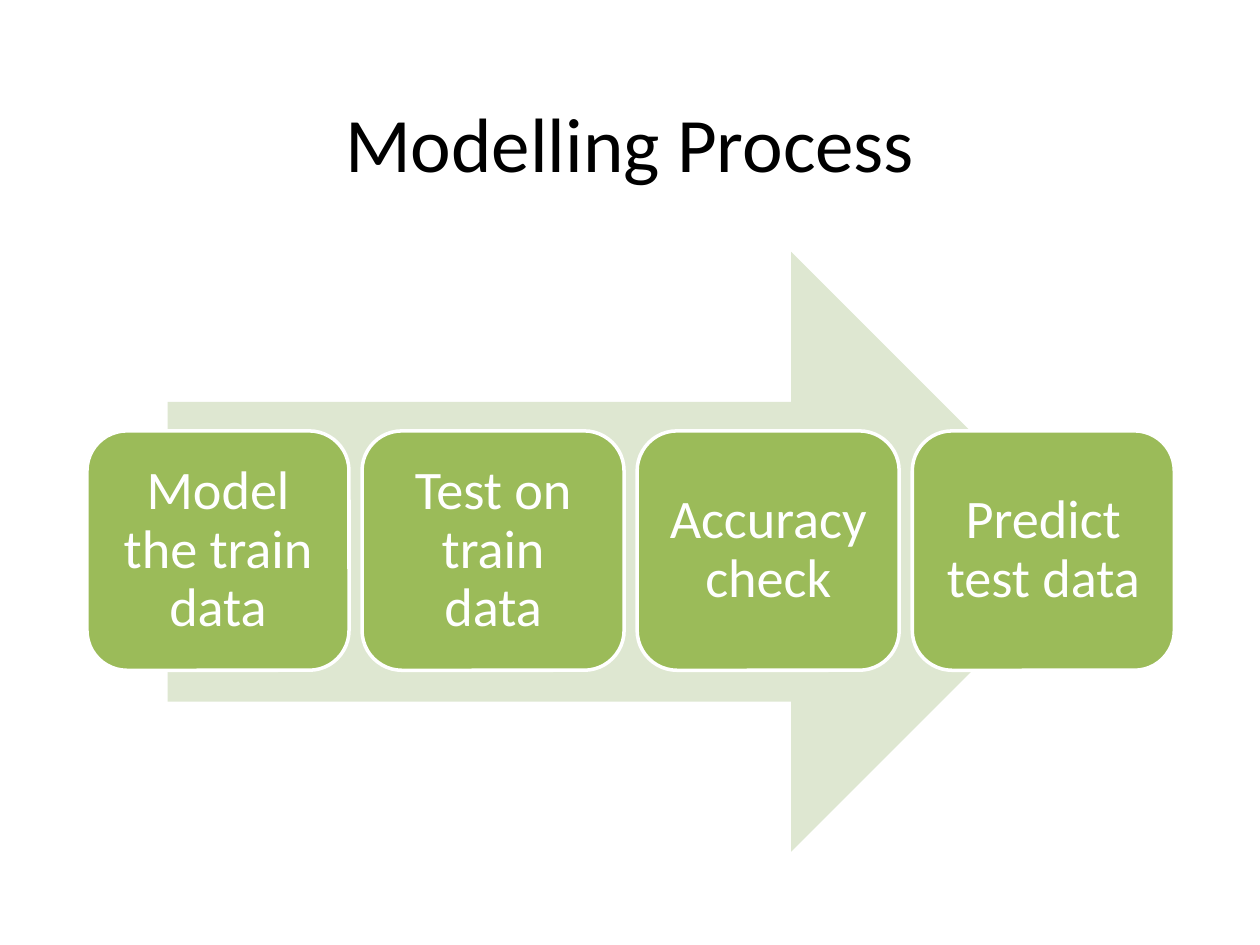
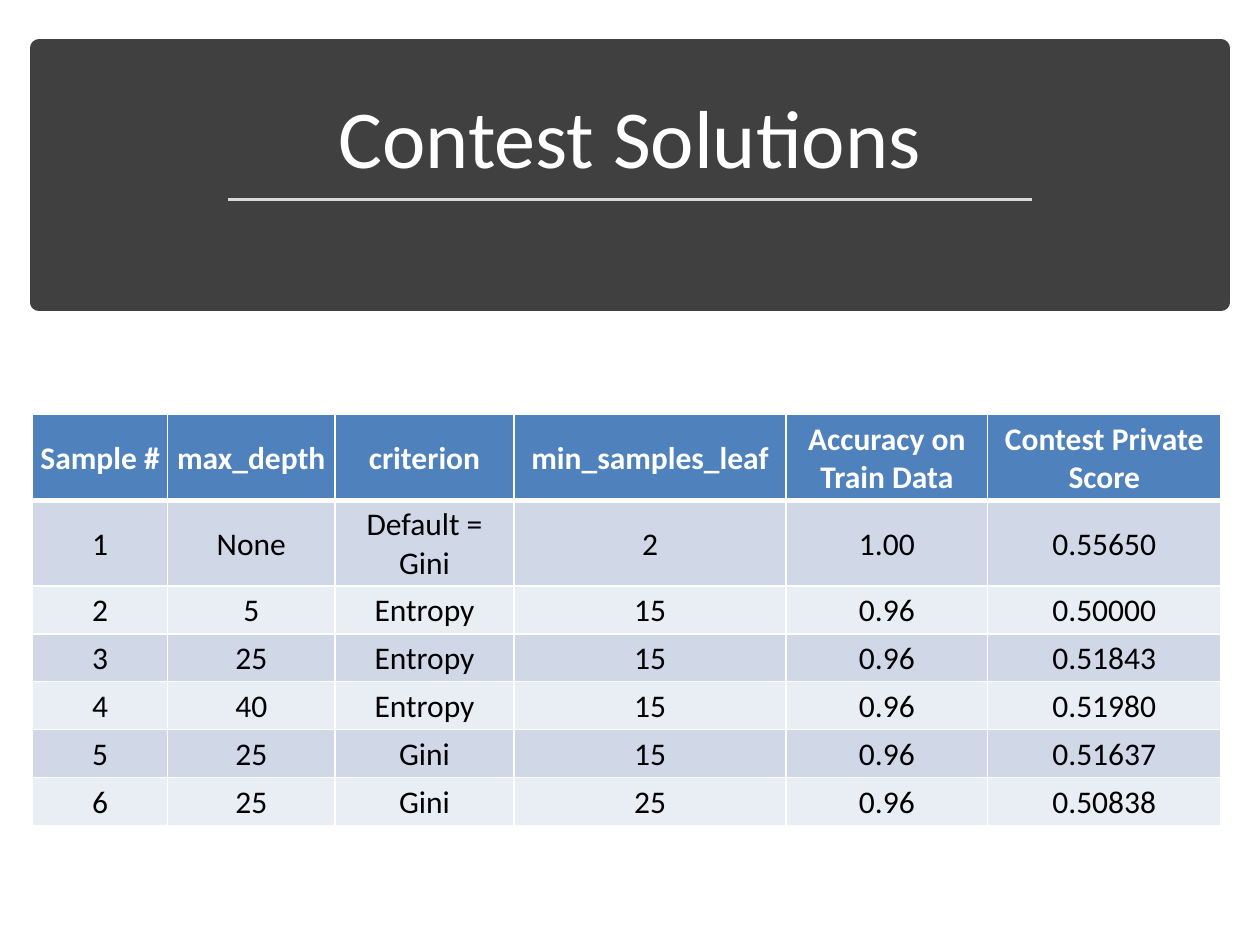
from lxml.etree import SubElement
from pptx import Presentation
from pptx.dml.color import RGBColor
from pptx.enum.shapes import MSO_CONNECTOR as Connector, MSO_SHAPE as Shape
from pptx.enum.text import MSO_ANCHOR as Anchor, PP_ALIGN as Align
from pptx.oxml import parse_xml
from pptx.oxml.ns import nsdecls, qn
from pptx.util import Inches, Pt

FONT = "Calibri"
COLORS = {
    "black": "000000",
    "white": "FFFFFF",
    "arrow": "DEE7D1",
    "step": "9BBB59",
    "band": "404040",
    "rule": "D9D9D9",
    "header": "4F81BD",
    "odd_row": "D0D8E8",
    "even_row": "E9EDF4",
}

STEPS = ["Model the train data", "Test on train data", "Accuracy check", "Predict test data"]

SCORES = [
    ["Sample #", "max_depth", "criterion", "min_samples_leaf",
     "Accuracy on Train Data", "Contest Private Score"],
    ["1", "None", "Default = Gini", "2", "1.00", "0.55650"],
    ["2", "5", "Entropy", "15", "0.96", "0.50000"],
    ["3", "25", "Entropy", "15", "0.96", "0.51843"],
    ["4", "40", "Entropy", "15", "0.96", "0.51980"],
    ["5", "25", "Gini", "15", "0.96", "0.51637"],
    ["6", "25", "Gini", "25", "0.96", "0.50838"],
]


def color(name):
    return RGBColor.from_string(COLORS[name])


def inches(values):
    return [Inches(value) for value in values]


class DeckBuilder:
    def __init__(self):
        self.deck = Presentation()
        self.deck.slide_width = Inches(10)
        self.deck.slide_height = Inches(7.5)
        self.page = None

    def set_text(self, frame, text, size, ink, bold=False, spacing=None):
        frame.text = text
        frame.word_wrap = True
        for para in frame.paragraphs:
            para.alignment = Align.CENTER
            para.line_spacing = spacing
            for span in para.runs:
                span.font.name = FONT
                span.font.size = Pt(size)
                span.font.bold = bold
                span.font.color.rgb = color(ink)

    def new_page(self, title, place, size, ink, anchor, spacing=None):
        self.page = self.deck.slides.add_slide(self.deck.slide_layouts[5])
        box = self.page.shapes.title
        box.left, box.top, box.width, box.height = inches(place)
        self.set_text(box.text_frame, title, size, ink, spacing=spacing)
        box.text_frame.vertical_anchor = anchor

    def shape(self, kind, place, fill, line=None, width=0):
        box = self.page.shapes.add_shape(kind, *inches(place))
        box.shadow.inherit = False
        box.fill.solid()
        box.fill.fore_color.rgb = color(fill)
        if line:
            box.line.color.rgb = color(line)
            box.line.width = Pt(width)
        else:
            box.line.fill.background()
        return box

    def step(self, text, place):
        box = self.shape(Shape.ROUNDED_RECTANGLE, place, "step", "white", 2)
        frame = box.text_frame
        frame.margin_left = frame.margin_right = Inches(0.13)
        frame.margin_top = frame.margin_bottom = Inches(0.13)
        frame.vertical_anchor = Anchor.MIDDLE
        self.set_text(frame, text, 31, "white", spacing=0.9)

    def title_band(self, place):
        band = self.shape(Shape.RECTANGLE, place, "band", "band", 10)
        self.page.shapes.title._element.addprevious(band._element)

    def rule(self, start, end):
        line = self.page.shapes.add_connector(Connector.STRAIGHT, *inches(start + end))
        line.line.color.rgb = color("rule")
        line.line.width = Pt(1.75)
        SubElement(line._element.spPr, qn("a:effectLst"))

    def border(self, cell, top, bottom):
        properties = cell._tc.get_or_add_tcPr()
        sides = [("lnL", 1), ("lnR", 1), ("lnT", top), ("lnB", bottom)]
        for index, (side, width) in enumerate(sides):
            properties.insert(index, parse_xml(
                f'<a:{side} {nsdecls("a")} w="{Pt(width)}"><a:solidFill>'
                f'<a:srgbClr val="{COLORS["white"]}"/></a:solidFill></a:{side}>'))

    def table(self, rows, place, widths, heights):
        table = self.page.shapes.add_table(len(rows), len(widths), *inches(place)).table
        for column, width in zip(table.columns, widths):
            column.width = Inches(width)
        for number, (row, values) in enumerate(zip(table.rows, rows)):
            row.height = Inches(heights[number])
            header = number == 0
            fill = "header" if header else "odd_row" if number % 2 else "even_row"
            for cell, value in zip(row.cells, values):
                self.set_text(cell.text_frame, value, 18, "white" if header else "black", header)
                cell.margin_left = cell.margin_right = cell.margin_top = Inches(0.02)
                cell.margin_bottom = 0
                cell.vertical_anchor = Anchor.MIDDLE
                cell.fill.solid()
                cell.fill.fore_color.rgb = color(fill)
                self.border(cell, 3 if number == 1 else 1, 3 if header else 1)


def modelling_process(builder):
    builder.new_page("Modelling Process", (0.69, 0.4, 8.62, 1.45), 44, "black", Anchor.MIDDLE)
    builder.shape(Shape.RIGHT_ARROW, (1.33, 2, 7.33, 4.76), "arrow")
    left, right, width = 0.69, 9.32, 2.08
    pitch = (right - left - width) / (len(STEPS) - 1)
    for index, text in enumerate(STEPS):
        builder.step(text, (left + index * pitch, 3.42, width, 1.9))


def contest_solutions(builder):
    builder.new_page("Contest Solutions", (0.43, 0.51, 9.14, 1.02), 47, "white",
                     Anchor.BOTTOM, 0.9)
    builder.title_band((0.31, 0.38, 9.38, 2.02))
    builder.rule((1.81, 1.58), (8.19, 1.58))
    builder.table(SCORES, (0.26, 3.29, 9.43, 3.27),
                  [1.07, 1.33, 1.42, 2.16, 1.6, 1.85], [0.68] * 2 + [0.38] * 5)


def main():
    builder = DeckBuilder()
    modelling_process(builder)
    contest_solutions(builder)
    builder.deck.save("out.pptx")


if __name__ == "__main__":
    main()
